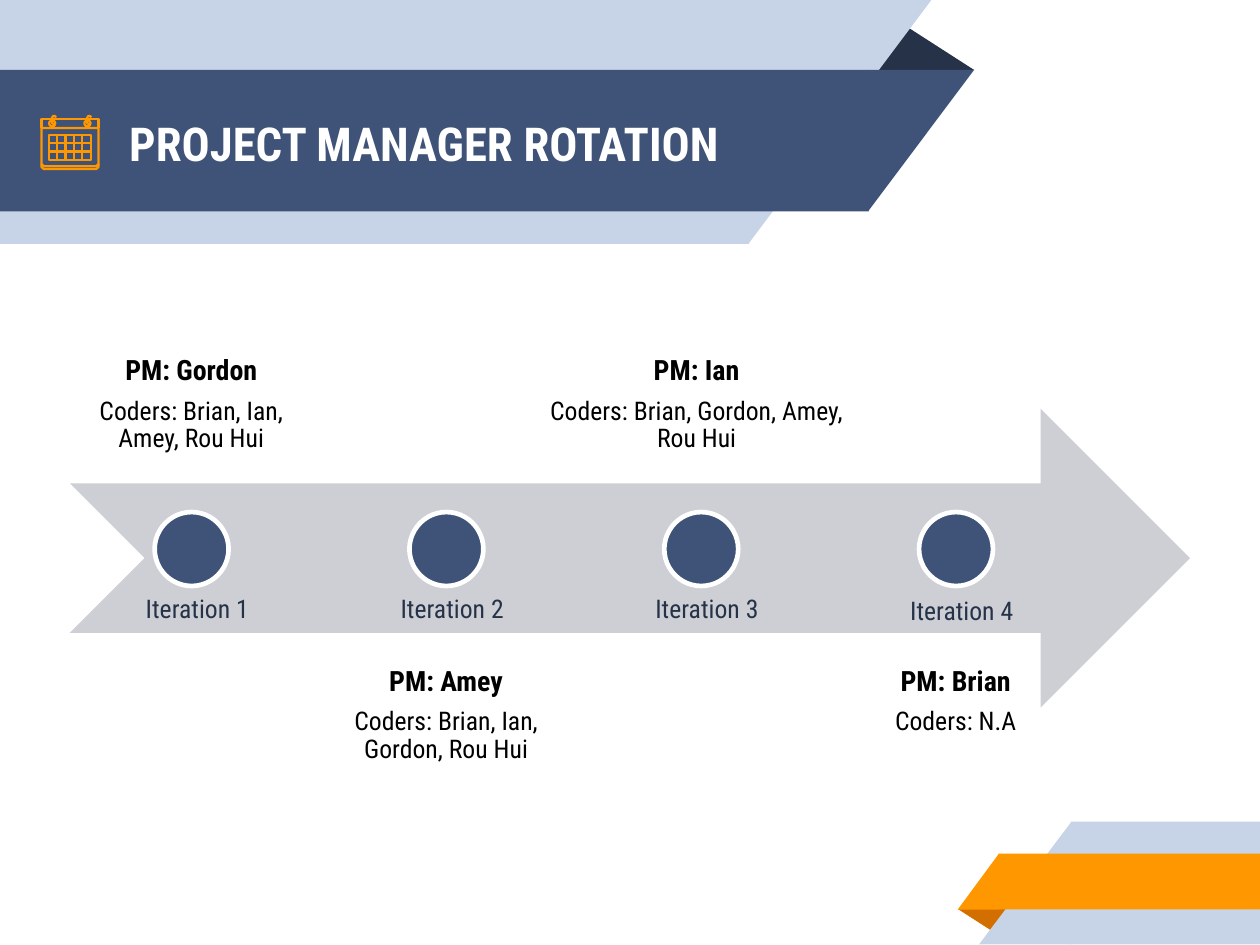
from pptx import Presentation
from pptx.dml.color import RGBColor
from pptx.enum.shapes import MSO_CONNECTOR, MSO_SHAPE as SHAPE
from pptx.enum.text import MSO_ANCHOR as ANCHOR, MSO_AUTO_SIZE as AUTO, PP_ALIGN as ALIGN
from pptx.oxml.ns import qn
from pptx.util import Pt
from lxml.etree import SubElement

# Content
TITLE = "PROJECT MANAGER ROTATION"
# label, label top, manager, coders, then text box left, top, width, height, anchor
ITERATIONS = [
    ("Iteration 1", 250.4, "PM: Gordon", "Coders: Brian, Ian, Amey, Rou Hui",
     (30.2, 140.4, 103.7, 61.9), ANCHOR.BOTTOM),
    ("Iteration 2", 250.4, "PM: Amey", "Coders: Brian, Ian, Gordon, Rou Hui",
     (139.4, 277.9, 103.7, 64.1), ANCHOR.TOP),
    ("Iteration 3", 250.4, "PM: Ian", "Coders: Brian, Gordon, Amey, Rou Hui",
     (226.6, 134.6, 144, 67.7), ANCHOR.BOTTOM),
    ("Iteration 4", 251.3, "PM: Brian", "Coders: N.A",
     (357.8, 277.9, 103.7, 67.7), ANCHOR.TOP),
]

FONT = "Roboto Condensed"
NAVY, DARK, PALE, ORANGE = "3F5378", "263248", "C7D3E6", "FF9800"
RUST, GREY, WHITE, BLACK = "D26F00", "CDCFD5", "FFFFFF", "000000"

# Ribbon pieces: preset, left, top, width, height, fill, flip
RIBBONS = [
    (SHAPE.ISOSCELES_TRIANGLE, 410.5, 389.6, 23, 10, RUST, "both"),
    (SHAPE.RECTANGLE, 459, 352.2, 81, 52.6, PALE, None),
    (SHAPE.RIGHT_TRIANGLE, 419.6, 352.2, 39.6, 52.6, PALE, "flipH"),
    (SHAPE.RECTANGLE, 428, 365.8, 112, 24, ORANGE, None),
    (SHAPE.RIGHT_TRIANGLE, 410.5, 365.8, 17.7, 24, ORANGE, "flipH"),
    (SHAPE.ISOSCELES_TRIANGLE, 371.5, 10, 46, 20, DARK, None),
    (SHAPE.RECTANGLE, 0, 0, 321, 104.5, PALE, None),
    (SHAPE.RIGHT_TRIANGLE, 320.8, 0, 78.4, 104.5, PALE, "flipV"),
    (SHAPE.RECTANGLE, 0, 30, 372.3, 60.6, NAVY, None),
    (SHAPE.RIGHT_TRIANGLE, 372.1, 30, 45.4, 60.6, NAVY, "flipV"),
]

# Calendar outlines
HEADER = [(42.2, 54.9), (42.2, 51), (17.8, 51), (17.8, 54.9)]
PAGE = [(17.8, 54.9), (17.8, 70.3), (18.8, 71.2), (41.2, 71.2), (42.2, 70.3), (42.2, 54.9)]
BASE = [(17.8, 70.3), (17.8, 71.6), (18.8, 72.5), (41.2, 72.5), (42.2, 71.6), (42.2, 70.3)]
HOOK = [(23.2, 53.3), (22.3, 52.8), (22.3, 50.4), (22.9, 49.7), (23.6, 49.7), (24, 50.4)]
HOOK_GAP = 15.1
GRID_LEFT, GRID_TOP, CELL, COLUMNS, ROWS = 20.9, 57.7, 3.6, 5, 3
ICON_LINE = 0.96

DOT_LEFT, DOT_TOP, DOT_SIZE, DOT_STEP = 66.3, 219.5, 31.7, 109.2

presentation = Presentation()
presentation.slide_width, presentation.slide_height = Pt(540), Pt(405)
slide = presentation.slides.add_slide(presentation.slide_layouts[5])
shapes = slide.shapes


def color(hex_code):
    return RGBColor.from_string(hex_code)


def paint(shape, fill=None, line=None, width=0):
    shape.shadow.inherit = False
    if fill:
        shape.fill.solid()
        shape.fill.fore_color.rgb = color(fill)
    else:
        shape.fill.background()
    if line:
        shape.line.color.rgb = color(line)
        shape.line.width = Pt(width)
    else:
        shape.line.fill.background()


def add_preset(preset, left, top, width, height, fill=None, line=None, line_width=0):
    shape = shapes.add_shape(preset, Pt(left), Pt(top), Pt(width), Pt(height))
    paint(shape, fill, line, line_width)
    return shape


def add_outline(points, close=False):
    corners = [(Pt(x), Pt(y)) for x, y in points]
    builder = shapes.build_freeform(*corners[0], scale=1.0)
    builder.add_line_segments(corners[1:], close=close)
    paint(builder.convert_to_shape(), None, ORANGE, ICON_LINE)


def add_grid_line(x1, y1, x2, y2):
    line = shapes.add_connector(MSO_CONNECTOR.STRAIGHT, Pt(x1), Pt(y1), Pt(x2), Pt(y2))
    line.line.color.rgb = color(ORANGE)
    line.line.width = Pt(ICON_LINE)
    SubElement(line._element.spPr, qn("a:effectLst"))


def set_frame(frame, anchor, side, vertical):
    frame.word_wrap = True
    frame.auto_size = AUTO.NONE
    frame.vertical_anchor = anchor
    frame.margin_left = frame.margin_right = Pt(side)
    frame.margin_top = frame.margin_bottom = Pt(vertical)


def add_run(paragraph, text, size, hex_code, bold=False):
    run = paragraph.add_run()
    run.text = text
    run.font.name, run.font.size, run.font.bold = FONT, Pt(size), bold
    run.font.color.rgb = color(hex_code)


def add_text_box(left, top, width, height, anchor, side, vertical):
    frame = shapes.add_textbox(Pt(left), Pt(top), Pt(width), Pt(height)).text_frame
    set_frame(frame, anchor, side, vertical)
    return frame


# Ribbons
for *piece, flip in RIBBONS:
    ribbon = add_preset(*piece)
    if piece[0] == SHAPE.ISOSCELES_TRIANGLE:
        ribbon.adjustments[0] = 0.324
    if flip == "both":
        ribbon.rotation = 180
    elif flip:
        ribbon._element.spPr.find(qn("a:xfrm")).set(flip, "1")

# Title, brought in front of the ribbons
title = shapes.title
title.left, title.top, title.width, title.height = Pt(48.2), Pt(31), Pt(324), Pt(60.5)
set_frame(title.text_frame, ANCHOR.MIDDLE, 7.2, 7.2)
title_line = title.text_frame.paragraphs[0]
title_line.alignment = ALIGN.LEFT
add_run(title_line, TITLE, 20, WHITE, True)
title._element.getparent().append(title._element)

# Calendar icon
add_outline(HEADER)
add_outline(PAGE, close=True)
add_outline(BASE)
for shift in (0, HOOK_GAP):
    add_preset(SHAPE.OVAL, 21.1 + shift, 51.6, 2.6, 2.6, None, ORANGE, ICON_LINE)
    add_outline([(x + shift, y) for x, y in HOOK])
grid_width, grid_height = COLUMNS * CELL, ROWS * CELL
add_preset(SHAPE.RECTANGLE, GRID_LEFT, GRID_TOP, grid_width, grid_height, None, ORANGE, ICON_LINE)
for row in range(1, ROWS):
    y = GRID_TOP + row * CELL
    add_grid_line(GRID_LEFT, y, GRID_LEFT + grid_width, y)
for column in range(1, COLUMNS):
    x = GRID_LEFT + column * CELL
    add_grid_line(x, GRID_TOP, x, GRID_TOP + grid_height)

# Timeline arrow
add_preset(SHAPE.NOTCHED_RIGHT_ARROW, 30, 175.2, 480, 128, GREY)

# Iterations
for index, (label, label_top, manager, coders, box, anchor) in enumerate(ITERATIONS):
    dot_left = DOT_LEFT + index * DOT_STEP
    add_preset(SHAPE.OVAL, dot_left, DOT_TOP, DOT_SIZE, DOT_SIZE, NAVY, WHITE, 2)

    frame = add_text_box(*box, anchor, 8, 8)
    heading, detail = frame.paragraphs[0], frame.add_paragraph()
    for paragraph in (heading, detail):
        paragraph.alignment = ALIGN.CENTER
        paragraph.line_spacing = 0.9
    detail.space_before = Pt(4.9)
    add_run(heading, manager, 12, BLACK, True)
    add_run(detail, coders, 11, BLACK)

    caption = add_text_box(dot_left - 10.9, label_top, 62.6, 20.9, ANCHOR.TOP, 7.2, 3.6)
    add_run(caption.paragraphs[0], label, 11, DARK)

presentation.save("out.pptx")
